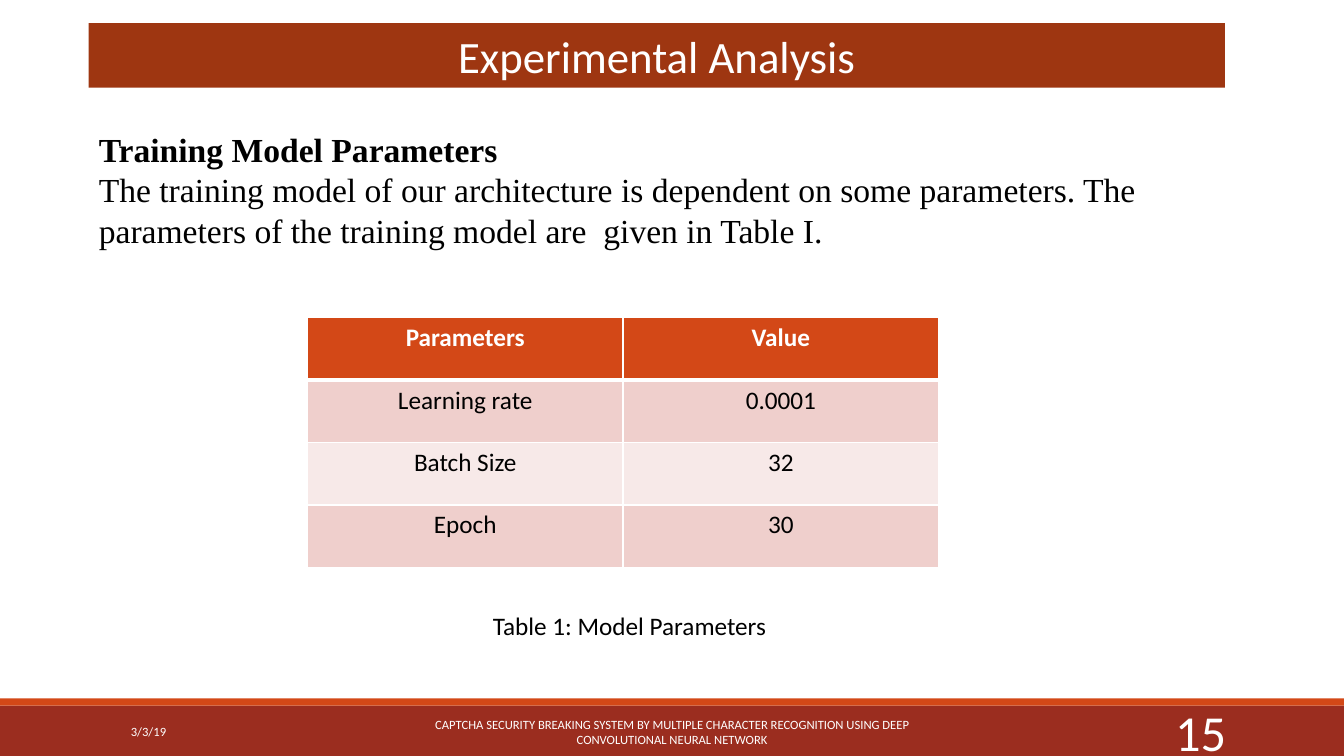
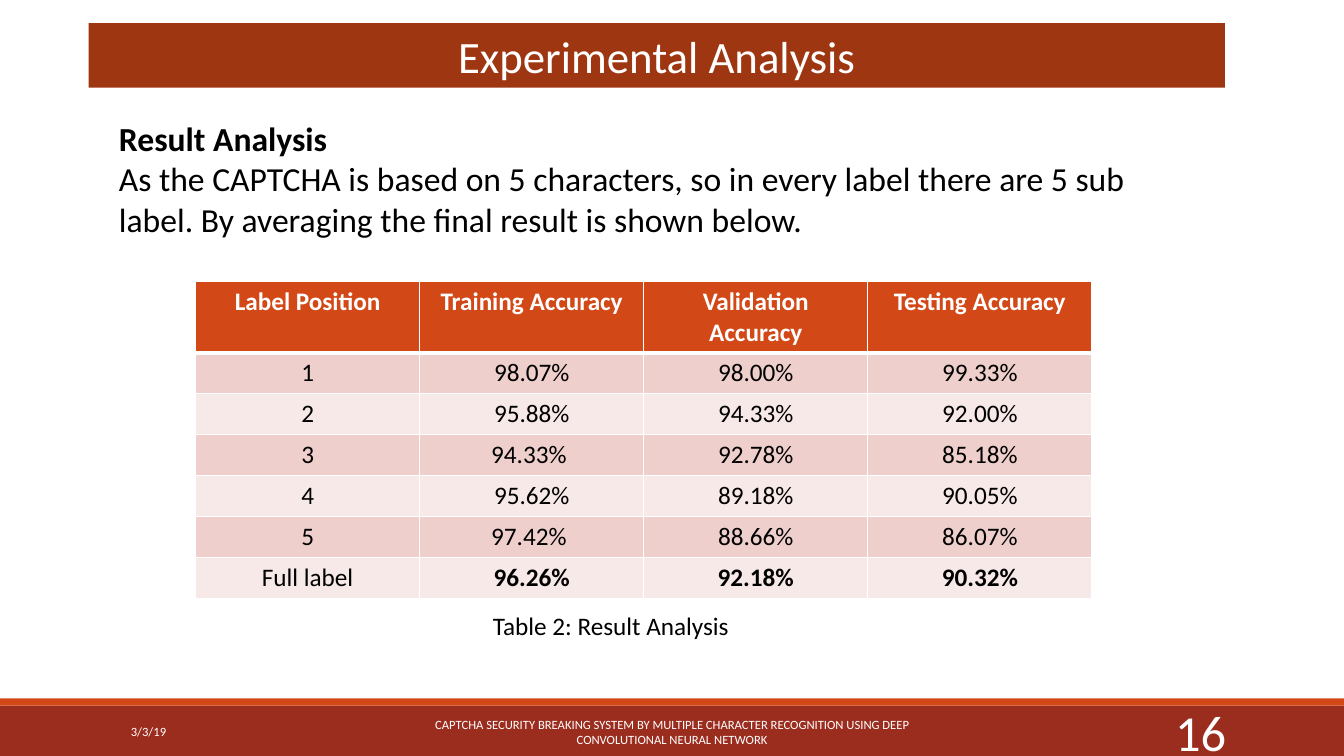
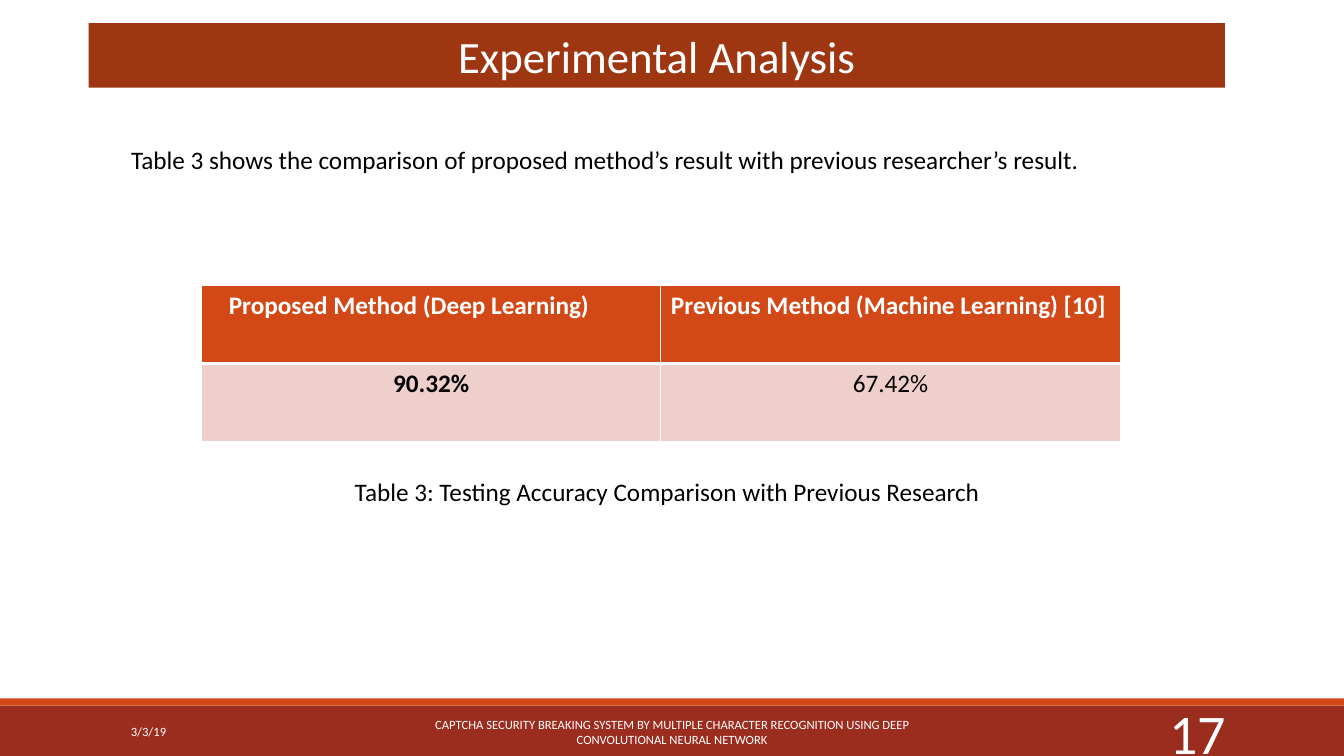
import pptx
import pptx.dml.color
import pptx.enum.text
import pptx.oxml
import pptx.oxml.ns
import pptx.util
from lxml import etree

Inches = pptx.util.Inches
Align = pptx.enum.text.PP_ALIGN
Anchor = pptx.enum.text.MSO_ANCHOR
qn = pptx.oxml.ns.qn

WHITE, BLACK = "FFFFFF", "000000"
BAND, FOOT, ACCENT = "9E3611", "9B2D1F", "D34817"
ROWS = ("EFCFCC", "F7E9E8")
SANS, SERIF = "Calibri", "Times New Roman"
TITLE = "Experimental Analysis"
DATE = "3/3/19"
TOPIC = ("CAPTCHA SECURITY BREAKING SYSTEM BY MULTIPLE CHARACTER "
         "RECOGNITION USING DEEP CONVOLUTIONAL NEURAL NETWORK")


def color(code):
    return pptx.dml.color.RGBColor.from_string(code)


def paint(thing, code):
    thing.fill.solid()
    thing.fill.fore_color.rgb = color(code)


def place(shape, box):
    shape.left, shape.top, shape.width, shape.height = map(Inches, box)


def write(frame, *lines, size=18, font=SANS, ink=BLACK, bold=False,
          align=Align.LEFT, anchor=Anchor.TOP, lead=False):
    """Fill a text frame, one paragraph a line; lead makes the first line bold."""
    frame.word_wrap = True
    frame.vertical_anchor = anchor
    for i, line in enumerate(lines):
        para = frame.paragraphs[0] if i == 0 else frame.add_paragraph()
        para.alignment = align
        para.space_before = pptx.util.Pt(0)
        run = para.add_run()
        run.text = line
        run.font.size = pptx.util.Pt(size)
        run.font.name = font
        run.font.bold = bold or (lead and i == 0)
        run.font.color.rgb = color(ink)


def label(slide, box, text, **fmt):
    write(slide.shapes.add_textbox(*map(Inches, box)).text_frame, text, **fmt)


def head(slide):
    title = slide.shapes.title
    place(title, (0.88, 0.23, 11.27, 0.64))
    paint(title, BAND)
    title.text_frame.auto_size = pptx.enum.text.MSO_AUTO_SIZE.NONE
    write(title.text_frame, TITLE, size=32, ink=WHITE, align=Align.CENTER)


def foot(slide, page, size):
    for top, high, code in ((7, 0.5, FOOT), (6.93, 0.07, ACCENT)):
        bar = slide.shapes.add_shape(
            pptx.enum.shapes.MSO_SHAPE.RECTANGLE,
            *map(Inches, (0, top, 13.33, high)))
        bar.shadow.inherit = False
        bar.line.fill.background()
        paint(bar, code)
    parts = ((1.2, 2.7, DATE, 9, Align.LEFT),
             (4.03, 5.27, TOPIC, 9, Align.CENTER),
             (10.83, 1.43, str(page), size, Align.RIGHT))
    for left, wide, text, pts, align in parts:
        label(slide, (left, 7.06, wide, 0.4), text, size=pts, ink=WHITE,
              align=align, anchor=Anchor.MIDDLE)


def body(slide, box, *lines, **fmt):
    """Put unbulleted paragraphs in the body placeholder."""
    holder = slide.placeholders[1]
    place(holder, box)
    holder.text_frame.auto_size = pptx.enum.text.MSO_AUTO_SIZE.NONE
    write(holder.text_frame, *lines, **fmt)
    for para in holder.text_frame.paragraphs:
        props = para._p.get_or_add_pPr()
        props.set("marL", "0")
        props.set("indent", "0")
        etree.SubElement(props, qn("a:buNone"))


def edge(cell, **widths):
    """Draw white cell borders, with widths in points by side."""
    props = cell._tc.get_or_add_tcPr()
    for side in "LRTB":
        line = etree.SubElement(props, qn("a:ln" + side),
                                w=str(pptx.util.Pt(widths.get(side, 1))))
        fill = etree.SubElement(line, qn("a:solidFill"))
        etree.SubElement(fill, qn("a:srgbClr"), val=WHITE)


def grid(slide, box, data, top=None, strong=(), align=Align.CENTER, inset=0.1):
    """Add a table; top is the header height, strong lists the bold cells,
    align and inset place the header text."""
    rows, cols = len(data), len(data[0])
    table = slide.shapes.add_table(rows, cols, *map(Inches, box)).table
    top = top or box[3] / rows
    for r, row in enumerate(data):
        high = (box[3] - top) / (rows - 1) if r else top
        table.rows[r].height = Inches(high)
        for c, text in enumerate(row):
            cell = table.cell(r, c)
            edge(cell, B=1 if r else 3, T=3 if r == 1 else 1)
            paint(cell, ROWS[(r - 1) % 2] if r else ACCENT)
            write(cell.text_frame, text, ink=BLACK if r else WHITE,
                  bold=r == 0 or (r, c) in strong,
                  align=Align.CENTER if r else align)
    table.cell(0, 0).margin_left = Inches(inset)


def model(slide):
    body(slide, (0.88, 1.23, 11.14, 1.92), "Training Model Parameters",
         "The training model of our architecture is dependent on some "
         "parameters. The parameters of the training model are  given in "
         "Table I.", size=24, font=SERIF, lead=True)
    grid(slide, (3.05, 3.15, 6.26, 2.48),
         (("Parameters", "Value"), ("Learning rate", "0.0001"),
          ("Batch Size", "32"), ("Epoch", "30")))
    label(slide, (4.79, 6.01, 2.93, 0.4), "Table 1: Model Parameters")


def result(slide):
    body(slide, (1.08, 1.12, 10.46, 1.31), "Result Analysis",
         "As the CAPTCHA is based on 5 characters, so in every label there "
         "are 5 sub label. By averaging the final result is shown below.",
         size=24, lead=True)
    grid(slide, (1.94, 2.79, 8.89, 3.13),
         (("Label Position", "Training Accuracy", "Validation Accuracy",
           "Testing Accuracy"),
          ("1", "98.07%", "98.00%", "99.33%"),
          ("2", "95.88%", "94.33%", "92.00%"),
          ("3", "94.33% ", "92.78%", "85.18%"),
          ("4", "95.62%", "89.18%", "90.05%"),
          ("5", "97.42% ", "88.66%", "86.07%"),
          ("Full label", "96.26%", "92.18%", "90.32%")),
         top=0.69, strong=((6, 1), (6, 2), (6, 3)))
    label(slide, (4.79, 6.01, 2.93, 0.4), "Table 2: Result Analysis")


def match(slide):
    body(slide, (1.2, 1.38, 9.92, 0.4),
         "Table 3 shows the comparison of proposed method’s result with "
         "previous researcher’s result.")
    grid(slide, (2, 2.83, 9.11, 1.55),
         (("Proposed Method (Deep Learning)",
           "Previous Method (Machine Learning) [10]"),
          ("90.32%", "67.42%")),
         strong=((1, 0),), align=Align.LEFT, inset=0.27)
    label(slide, (3.42, 4.68, 6.8, 0.4),
          "Table 3: Testing Accuracy Comparison with Previous Research")


def main():
    deck = pptx.Presentation()
    deck.slide_width, deck.slide_height = Inches(13.33), Inches(7.5)
    pages = ((15, 36, model), (16, 36, result), (17, 40, match))
    for page, size, fill in pages:
        slide = deck.slides.add_slide(deck.slide_layouts[1])
        head(slide)
        fill(slide)
        foot(slide, page, size)
    deck.save("out.pptx")


if __name__ == "__main__":
    main()
